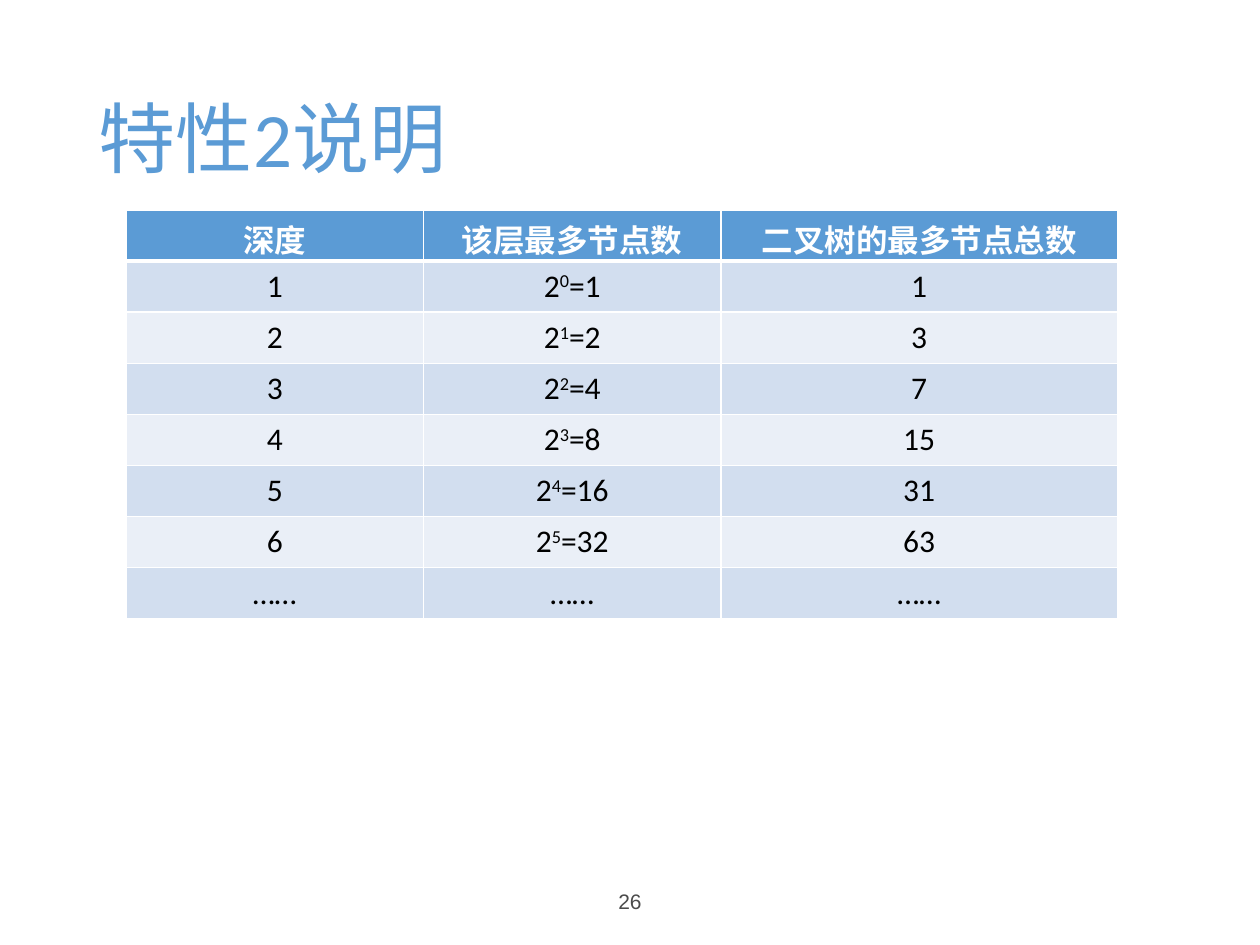
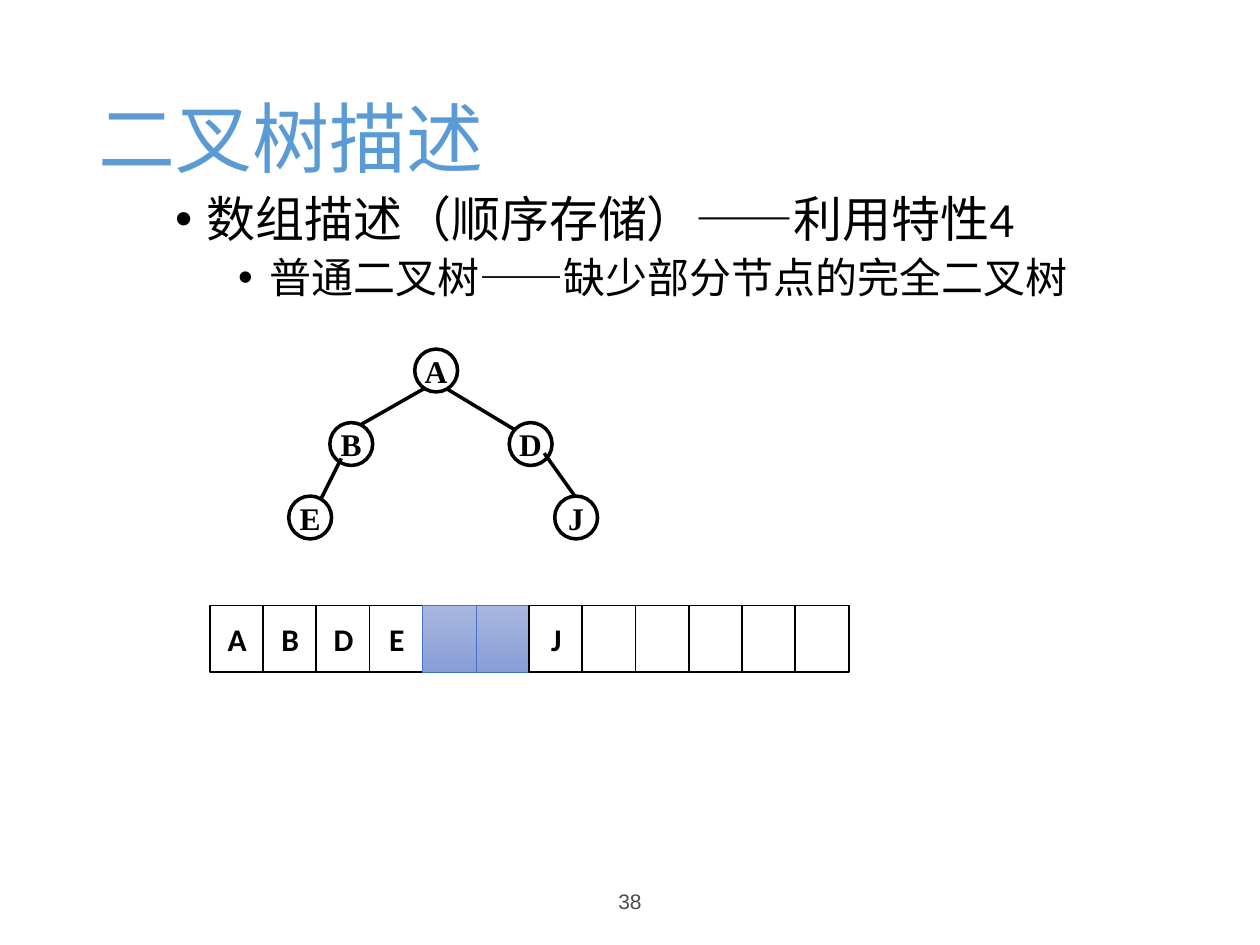
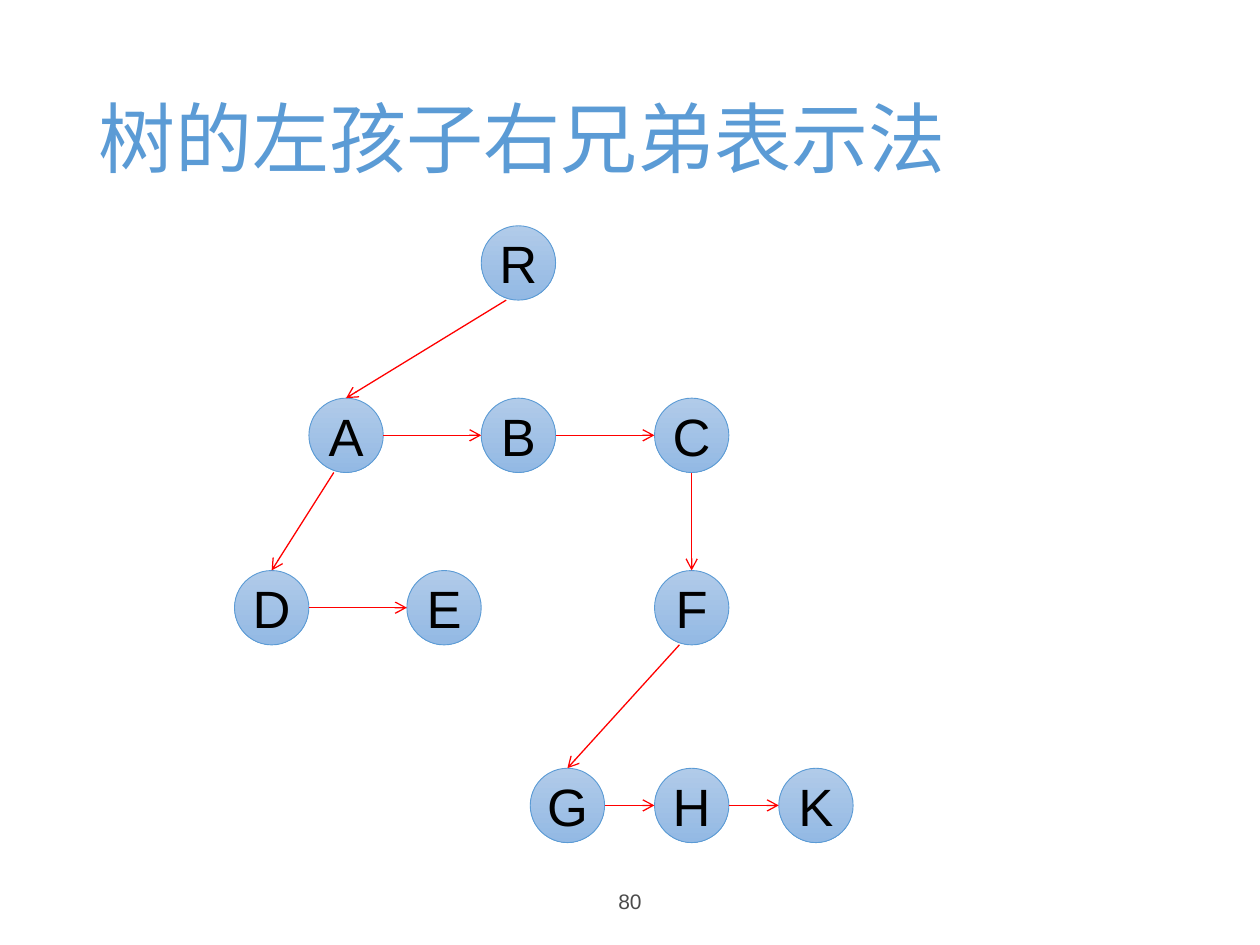
from lxml.etree import SubElement
from pptx import Presentation
from pptx.dml.color import RGBColor
from pptx.enum.shapes import MSO_CONNECTOR, MSO_SHAPE
from pptx.enum.text import MSO_ANCHOR, PP_ALIGN
from pptx.oxml.ns import qn
from pptx.util import Pt

BLACK = RGBColor(0x00, 0x00, 0x00)
WHITE = RGBColor(0xFF, 0xFF, 0xFF)
GREY = RGBColor(0x4B, 0x4B, 0x4B)
RED = RGBColor(0xFF, 0x00, 0x00)
BLUE = RGBColor(0x5B, 0x9B, 0xD5)
NAVY = RGBColor(0x44, 0x72, 0xC4)
BANDS = (RGBColor(0xD2, 0xDE, 0xEF), RGBColor(0xEA, 0xEF, 0xF7))
SKY = (RGBColor(0xB1, 0xCB, 0xE9), RGBColor(0x93, 0xB9, 0xE4))
DUSK = (RGBColor(0xA8, 0xB7, 0xDF), RGBColor(0x88, 0x9E, 0xD7))


class Deck:
    """Shared style and the current slide; all lengths are in points."""

    def __init__(self):
        self.prs = Presentation()
        self.prs.slide_width, self.prs.slide_height = Pt(720), Pt(540)
        self.slide = None

    def start(self, title, page):
        """Open a slide with its title and page number."""
        self.slide = self.prs.slides.add_slide(self.prs.slide_layouts[6])
        frame = self.box(49.5, 29, 620.5, 104.5, MSO_ANCHOR.MIDDLE)
        para = frame.paragraphs[0]
        para.line_spacing = 0.9
        self.run(para, title, 44, color=BLUE)
        frame = self.box(238.5, 500.5, 243, 29, MSO_ANCHOR.MIDDLE)
        para = frame.paragraphs[0]
        para.alignment = PP_ALIGN.CENTER
        self.run(para, str(page), 12, "Arial", GREY)

    def box(self, x, y, w, h, anchor=MSO_ANCHOR.TOP):
        frame = self.slide.shapes.add_textbox(Pt(x), Pt(y), Pt(w), Pt(h)).text_frame
        frame.word_wrap = True
        frame.vertical_anchor = anchor
        return frame

    def run(self, para, text, size, face="Calibri", color=BLACK, bold=False):
        run = para.add_run()
        run.text = text
        font = run.font
        font.size, font.name, font.bold = Pt(size), face, bold
        font.color.rgb = color
        return run

    def bullets(self, x, y, w, h, items):
        """Add a list; each item is text, size, indent and space before."""
        frame = self.box(x, y, w, h)
        for i, (text, size, indent, gap) in enumerate(items):
            para = frame.add_paragraph() if i else frame.paragraphs[0]
            para.line_spacing = 0.9
            para.space_before = Pt(gap)
            props = para._p.get_or_add_pPr()
            props.set("marL", str(Pt(indent)))
            props.set("indent", str(Pt(-18)))
            SubElement(props, qn("a:buFont")).set("typeface", "Arial")
            SubElement(props, qn("a:buChar")).set("char", "•")
            self.run(para, text, size)

    def shape(self, kind, x, y, w, h, fill, line, width,
              text="", size=18, face="Calibri", bold=False):
        """Add a shape; fill is None, a colour or a pair for a gradient."""
        shape = self.slide.shapes.add_shape(kind, Pt(x), Pt(y), Pt(w), Pt(h))
        shape.shadow.inherit = False
        if fill is None:
            shape.fill.background()
        elif isinstance(fill, RGBColor):
            shape.fill.solid()
            shape.fill.fore_color.rgb = fill
        else:
            shape.fill.gradient()
            shape.fill.gradient_angle = 270
            for stop, color in zip(shape.fill.gradient_stops, fill):
                stop.color.rgb = color
        shape.line.color.rgb = line
        shape.line.width = Pt(width)
        if text:
            frame = shape.text_frame
            frame.word_wrap = False
            frame.vertical_anchor = MSO_ANCHOR.MIDDLE
            frame.margin_left = frame.margin_right = 0
            frame.margin_top = frame.margin_bottom = 0
            para = frame.paragraphs[0]
            para.alignment = PP_ALIGN.CENTER
            self.run(para, text, size, face, bold=bold)

    def line(self, x1, y1, x2, y2, color, width, arrow=False):
        link = self.slide.shapes.add_connector(
            MSO_CONNECTOR.STRAIGHT, Pt(x1), Pt(y1), Pt(x2), Pt(y2))
        link.line.color.rgb = color
        link.line.width = Pt(width)
        props = link.element.spPr
        if arrow:
            SubElement(props.find(qn("a:ln")), qn("a:tailEnd")).set("type", "arrow")
        SubElement(props, qn("a:effectLst"))

    def table(self, x, y, widths, height, rows):
        """Add a banded table; a cell is text or a (base, power, rest) tuple."""
        grid = self.slide.shapes.add_table(
            len(rows), len(widths), Pt(x), Pt(y),
            Pt(sum(widths)), Pt(height * len(rows))).table
        for col, width in zip(grid.columns, widths):
            col.width = Pt(width)
        for r, row in enumerate(rows):
            for c, value in enumerate(row):
                self.cell(grid.cell(r, c), value, r)

    def cell(self, cell, value, row):
        head = row == 0
        props = cell._tc.get_or_add_tcPr()
        for side in "LRTB":
            thick = (head and side == "B") or (row == 1 and side == "T")
            edge = SubElement(props, qn("a:ln" + side), w=str(Pt(3 if thick else 1)))
            paint = SubElement(edge, qn("a:solidFill"))
            SubElement(paint, qn("a:srgbClr")).set("val", str(WHITE))
        cell.fill.solid()
        cell.fill.fore_color.rgb = BLUE if head else BANDS[(row - 1) % 2]
        cell.vertical_anchor = MSO_ANCHOR.MIDDLE
        para = cell.text_frame.paragraphs[0]
        para.alignment = PP_ALIGN.CENTER
        parts = value if isinstance(value, tuple) else (value,)
        for i, part in enumerate(parts):
            run = self.run(para, part, 18, color=WHITE if head else BLACK, bold=head)
            if i == 1:
                run.font._element.set("baseline", "30000")


def counts(deck):
    """Node counts by depth."""
    deck.start("特性2说明", 26)
    rows = [("深度", "该层最多节点数", "二叉树的最多节点总数")]
    for depth in range(1, 7):
        power = depth - 1
        level = ("2", str(power), f"={2 ** power}")
        rows.append((str(depth), level, str(2 ** depth - 1)))
    rows.append(("……",) * 3)
    deck.table(72, 120, (170, 170, 226.5), 29.2, rows)


def array(deck):
    """A binary tree and the array that stores it."""
    deck.start("二叉树描述", 38)
    deck.bullets(93, 108, 612, 356.5, (
        ("数组描述（顺序存储）——利用特性4", 28, 18, 10),
        ("普通二叉树——缺少部分节点的完全二叉树", 24, 54, 5)))

    # Tree
    nodes = {"A": (237, 199.5), "B": (188.5, 241.5), "D": (291, 241.5),
             "E": (165, 283.5), "J": (317, 283.5)}
    for name, (x, y) in nodes.items():
        deck.shape(MSO_SHAPE.OVAL, x, y, 24.5, 24.5, None, BLACK, 2,
                   name, face="Times New Roman", bold=True)
    for ends in ((242.5, 222, 206.5, 242.5), (255, 222, 294, 245.5),
                 (195, 262, 183, 286), (311, 259, 328.5, 283.5)):
        deck.line(*ends, BLACK, 2)

    # Array slots: "-" marks a missing node, "" a free slot
    slots = ["A", "B", "D", "E", "-", "-", "J"] + [""] * 5
    for i, name in enumerate(slots):
        gap = name == "-"
        fill, line, width = (DUSK, NAVY, 0.5) if gap else (WHITE, BLACK, 1)
        deck.shape(MSO_SHAPE.RECTANGLE, 120 + 30.4 * i, 346, 31, 38,
                   fill, line, width, "" if gap else name, bold=True)


def family(deck):
    """Left child, right sibling tree."""
    deck.start("树的左孩子右兄弟表示法", 80)
    size = 42.5
    half = size / 2
    tiers = ((129, {"R": 275}),
             (227.5, {"A": 176.5, "B": 275, "C": 374}),
             (326, {"D": 134, "E": 232.5, "F": 374}),
             (439, {"G": 303, "H": 374, "K": 445}))
    nodes = {name: (x, y) for y, tier in tiers for name, x in tier.items()}
    for name, (x, y) in nodes.items():
        deck.shape(MSO_SHAPE.OVAL, x, y, size, size, SKY, BLUE, 0.5,
                   name, 30, "Arial")

    # Sibling arrows run right, child arrows run down
    for one, two in ("AB", "BC", "DE", "GH", "HK"):
        (x1, y1), (x2, y2) = nodes[one], nodes[two]
        deck.line(x1 + size, y1 + half, x2, y2 + half, RED, 0.75, True)
    for one, two in ("RA", "AD", "CF", "FG"):
        (x1, y1), (x2, y2) = nodes[one], nodes[two]
        shift = 7 if x2 < x1 else 0
        deck.line(x1 + half - shift, y1 + size, x2 + half, y2, RED, 0.75, True)


def main():
    deck = Deck()
    counts(deck)
    array(deck)
    family(deck)
    deck.prs.save("out.pptx")


if __name__ == "__main__":
    main()
